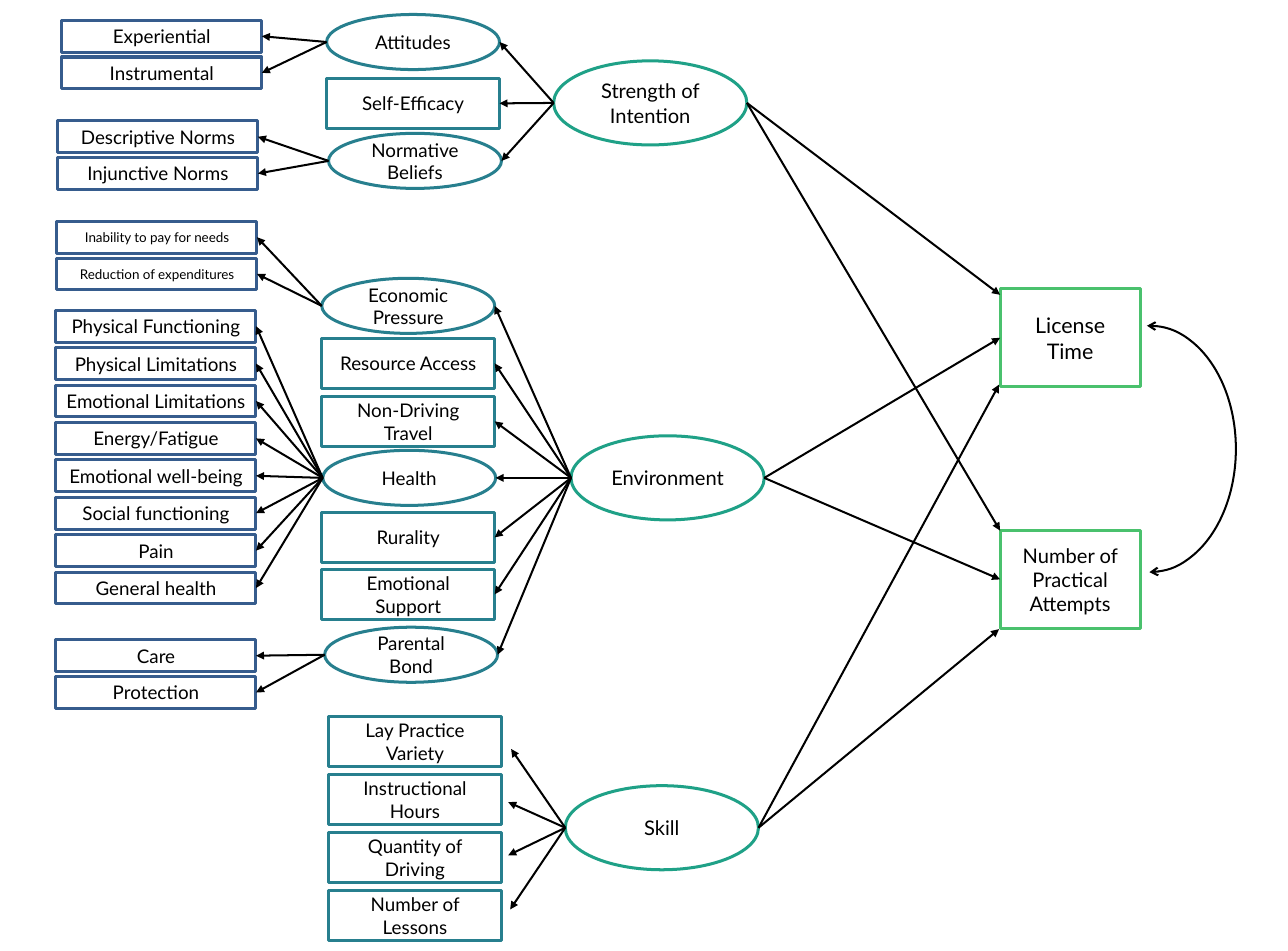
from lxml.etree import SubElement
from pptx import Presentation
from pptx.dml.color import RGBColor
from pptx.enum.shapes import MSO_CONNECTOR, MSO_SHAPE
from pptx.enum.text import MSO_ANCHOR, PP_ALIGN
from pptx.oxml.ns import qn
from pptx.util import Inches, Pt

BLACK, BLUE, TEAL, JADE, GREEN = "000000", "365C8D", "277F8E", "1FA187", "4AC16D"
RECT, OVAL = MSO_SHAPE.RECTANGLE, MSO_SHAPE.OVAL
RIGHT_SITE, LEFT_SITE = 3, 1


def rgb(value):
    return RGBColor.from_string(value)


def left_mid(sp):
    return sp.left.inches, (sp.top + sp.height / 2) / Inches(1)


def right_mid(sp):
    x, y = left_mid(sp)
    return x + sp.width.inches, y


class PathDiagram:
    """Draws the nodes and arrows of a path diagram on one slide."""

    font = "Lato"
    node_width = Pt(2.25)
    arrow_width = Pt(1.5)

    def __init__(self, slide):
        self.shapes = slide.shapes

    def outline(self, kind, x, y, w, h, color, width):
        sp = self.shapes.add_shape(kind, Inches(x), Inches(y), Inches(w), Inches(h))
        sp.shadow.inherit = False
        sp.fill.background()
        sp.line.color.rgb = rgb(color)
        sp.line.width = width
        return sp

    def node(self, kind, text, x, y, w, h, color, size):
        sp = self.outline(kind, x, y, w, h, color, self.node_width)
        tf = sp.text_frame
        tf.word_wrap = True
        tf.vertical_anchor = MSO_ANCHOR.MIDDLE
        p = tf.paragraphs[0]
        p.text = text
        p.alignment = PP_ALIGN.CENTER
        p.font.name = self.font
        p.font.size = Pt(size)
        p.font.color.rgb = rgb(BLACK)
        return sp

    def indicators(self, texts, x, first, last, size=14):
        step = (last - first) / (len(texts) - 1)
        return [self.node(RECT, text, x, first + i * step, 2.07, 0.33, BLUE, size)
                for i, text in enumerate(texts)]

    def facet(self, kind, text, x, y):
        height = 0.57 if kind == OVAL else 0.52
        return self.node(kind, text, x, y, 1.79, height, TEAL, 14)

    def factor(self, text, x, y):
        return self.node(OVAL, text, x, y, 2, 0.87, JADE, 15)

    def outcome(self, text, y, size):
        return self.node(RECT, text, 10.35, y, 1.45, 1.01, GREEN, size)

    def heads(self, line, ends, kind):
        ln = line.get_or_add_ln()
        for end in ends:
            SubElement(ln, qn(f"a:{end}"), type=kind)

    def arrow(self, start, end):
        points = [Inches(v) for v in (*start, *end)]
        cxn = self.shapes.add_connector(MSO_CONNECTOR.STRAIGHT, *points)
        cxn.line.color.rgb = rgb(BLACK)
        cxn.line.width = self.arrow_width
        self.heads(cxn, ["tailEnd"], "triangle")
        SubElement(cxn._element.spPr, qn("a:effectLst"))
        return cxn

    def fan(self, source, targets):
        for target in targets:
            cxn = self.arrow(left_mid(source), right_mid(target))
            if target.auto_shape_type == RECT:
                cxn.end_connect(target, RIGHT_SITE)

    def covariance(self, x, y, w, h):
        sp = self.outline(MSO_SHAPE.ARC, x, y, w, h, BLACK, self.arrow_width)
        sp.rotation = 90
        sp.adjustments[0] = 107.33
        sp.adjustments[1] = 0
        self.heads(sp, ["headEnd", "tailEnd"], "arrow")


def main():
    prs = Presentation()
    prs.slide_width, prs.slide_height = Inches(13.33), Inches(9.84)
    d = PathDiagram(prs.slides.add_slide(prs.slide_layouts[6]))

    intention = d.factor("Strength of Intention", 5.73, 0.63)
    environment = d.factor("Environment", 5.91, 4.51)
    skill = d.factor("Skill", 5.85, 8.13)
    license_time = d.outcome("License Time", 2.99, 16)
    attempts = d.outcome("Number of Practical Attempts", 5.49, 15)

    attitudes = d.facet(OVAL, "Attitudes", 3.38, 0.15)
    efficacy = d.facet(RECT, "Self-Efficacy", 3.38, 0.81)
    norms = d.facet(OVAL, "Normative Beliefs", 3.4, 1.38)
    d.fan(intention, [attitudes, efficacy, norms])

    economic = d.facet(OVAL, "Economic Pressure", 3.33, 2.88)
    health = d.facet(OVAL, "Health", 3.34, 4.66)
    bond = d.facet(OVAL, "Parental Bond", 3.36, 6.49)
    surroundings = [d.facet(RECT, text, 3.33, y) for text, y in [
        ("Resource Access", 3.5), ("Non-Driving Travel", 4.1),
        ("Rurality", 5.3), ("Emotional Support", 5.89)]]
    d.fan(environment, [economic, health, bond, *surroundings])

    practice = ["Lay Practice Variety", "Instructional Hours",
                "Quantity of Driving", "Number of Lessons"]
    tips = [(5.29, 7.75), (5.26, 8.3), (5.26, 8.85), (5.28, 9.41)]
    for i, (text, tip) in enumerate(zip(practice, tips)):
        d.facet(RECT, text, 3.4, 7.41 + i * 0.6)
        d.arrow(left_mid(skill), tip)

    d.fan(attitudes, d.indicators(["Experiential", "Instrumental"], 0.64, 0.21, 0.59))
    d.fan(norms, d.indicators(["Descriptive Norms", "Injunctive Norms"], 0.6, 1.25, 1.63))
    d.fan(economic, d.indicators(
        ["Inability to pay for needs", "Reduction of expenditures"], 0.59, 2.29, 2.67, 10))
    d.fan(health, d.indicators(
        ["Physical Functioning", "Physical Limitations", "Emotional Limitations",
         "Energy/Fatigue", "Emotional well-being", "Social functioning",
         "Pain", "General health"], 0.58, 3.21, 5.92))
    d.fan(bond, d.indicators(["Care", "Protection"], 0.58, 6.62, 7))

    for source, ends in [(intention, [(10.35, 3.05), (10.35, 5.49)]),
                         (skill, [(10.34, 3.98), (10.34, 6.51)])]:
        for end in ends:
            d.arrow(right_mid(source), end)
    for result in (license_time, attempts):
        cxn = d.arrow(right_mid(environment), left_mid(result))
        cxn.end_connect(result, LEFT_SITE)
    d.covariance(10.62, 3.75, 2.55, 1.79)

    prs.save("out.pptx")


if __name__ == "__main__":
    main()
